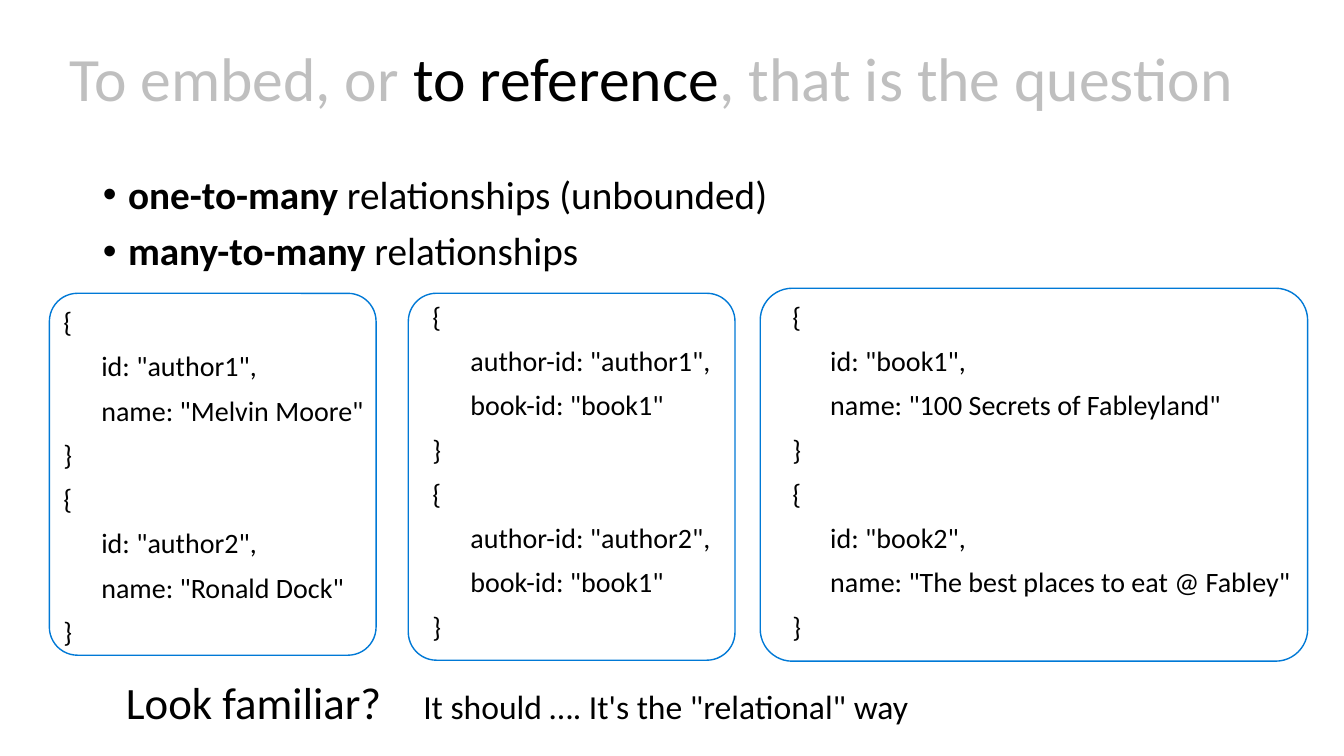
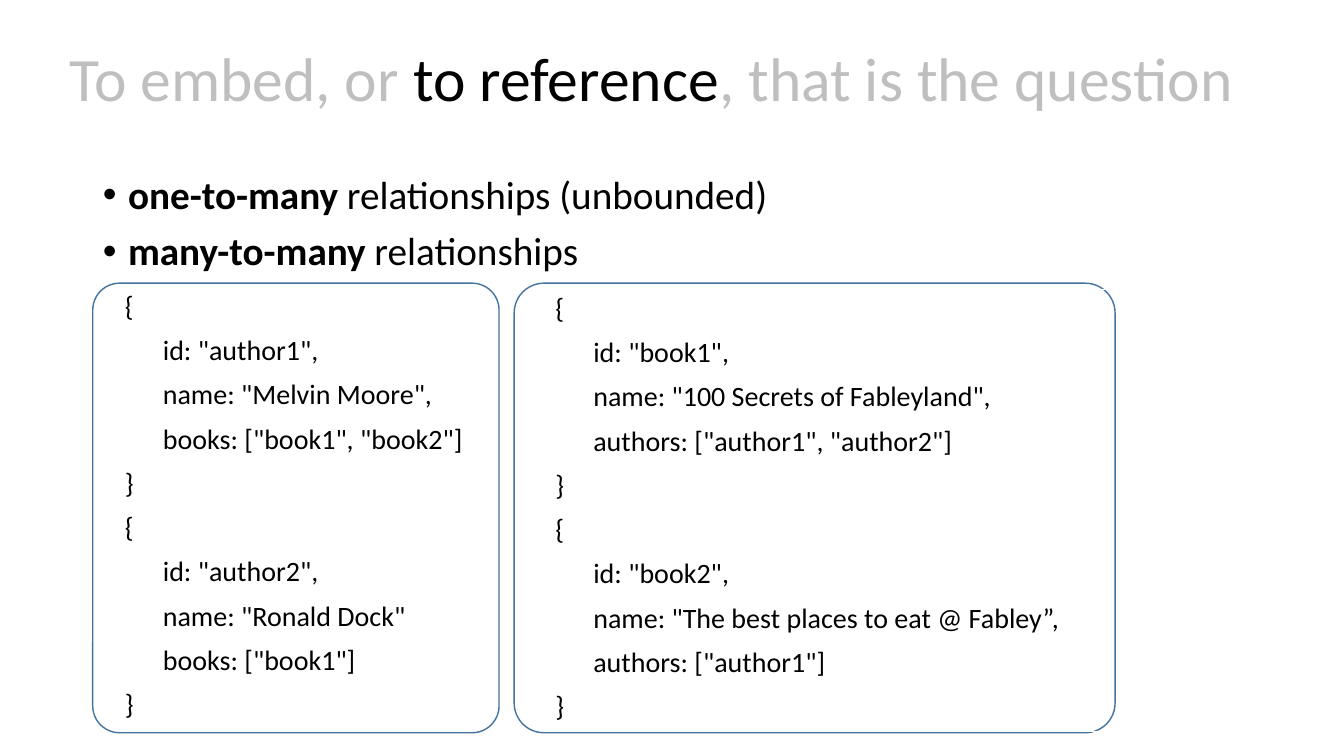
from pptx import Presentation
from pptx import util as u
from pptx.dml.color import RGBColor
from pptx.enum import shapes, text

BLACK = RGBColor(0x00, 0x00, 0x00)
WHITE = RGBColor(0xFF, 0xFF, 0xFF)
MUTED = RGBColor(0xBF, 0xBF, 0xBF)
BLUE = RGBColor(0x00, 0x79, 0xD6)
STEEL = RGBColor(0x43, 0x73, 0x9E)
FONT = "Calibri"

TITLE = [[("To embed, or ", MUTED, False), ("to reference", BLACK, False),
          (", that is the question", MUTED, False)]]
RELATIONSHIPS = [
    [("one-to-many", BLACK, True), (" relationships (unbounded)", BLACK, False)],
    [("many-to-many", BLACK, True), (" relationships", BLACK, False)],
]


def write(frame, lines, size, spacing=None, before=0, indent=None,
          anchor=text.MSO_ANCHOR.TOP, fit=text.MSO_AUTO_SIZE.NONE):
    """Fill a frame; a line is a string or a list of (text, colour, bold)."""
    frame.word_wrap = True
    frame.auto_size = fit
    frame.vertical_anchor = anchor
    for index, line in enumerate(lines):
        para = frame.add_paragraph() if index else frame.paragraphs[0]
        para.alignment = text.PP_ALIGN.LEFT
        para.line_spacing = spacing
        para.space_before = u.Pt(before if index else 0)
        if indent:
            properties = para._p.get_or_add_pPr()
            properties.set("marL", str(u.Inches(indent)))
            properties.set("indent", str(-u.Inches(indent)))
        spans = [(line, BLACK, False)] if isinstance(line, str) else line
        for words, colour, bold in spans:
            span = para.add_run()
            span.text = words
            span.font.name = FONT
            span.font.size = u.Pt(size)
            span.font.bold = bold
            span.font.color.rgb = colour


def records(*groups):
    """Lay out each group of fields as a braced document."""
    lines = []
    for fields in groups:
        lines += ["{", *(" " * 6 + field for field in fields), "}"]
    return lines


class Slides:
    """Holds the deck, its style and the current page."""

    def __init__(self):
        self.deck = Presentation()
        self.deck.slide_width = u.Inches(13.33)
        self.deck.slide_height = u.Inches(7.5)
        self.page = None

    def place(self, box, at):
        box.left, box.top, box.width, box.height = map(u.Inches, at)

    def new_page(self):
        """Start a page with the shared title and list."""
        self.page = self.deck.slides.add_slide(self.deck.slide_layouts[1])
        title, body = self.page.placeholders
        self.place(title, (0.59, 0.32, 12.75, 0.98))
        write(title.text_frame, TITLE, 44, spacing=0.9,
              anchor=text.MSO_ANCHOR.MIDDLE)
        self.place(body, (0.92, 1.69, 11.5, 4.76))
        write(body.text_frame, RELATIONSHIPS, 28, spacing=0.9, before=10,
              indent=0.25)

    def label(self, at, words, size):
        box = self.page.shapes.add_textbox(*map(u.Inches, at))
        write(box.text_frame, [words], size,
              fit=text.MSO_AUTO_SIZE.SHAPE_TO_FIT_TEXT)

    def code_card(self, at, code_at, lines, colour, corner, edge=None):
        """Group a rounded outline with the code on top of it."""
        group = self.page.shapes.add_group_shape().shapes
        card = group.add_shape(shapes.MSO_SHAPE.ROUNDED_RECTANGLE,
                               *map(u.Inches, at))
        card.adjustments[0] = corner
        card.shadow.inherit = False
        card.fill.solid()
        card.fill.fore_color.rgb = WHITE
        card.line.color.rgb = colour
        card.line.width = u.Pt(1)
        box = group.add_textbox(*map(u.Inches, code_at))
        if edge:
            box.line.color.rgb = edge
            box.line.width = u.Pt(0.75)
        write(box.text_frame, lines, 20, spacing=0.9, before=10,
              fit=text.MSO_AUTO_SIZE.SHAPE_TO_FIT_TEXT)


def relational_page(slides):
    slides.new_page()
    style = {"colour": BLUE, "corner": 0.086}
    # Books, the linking documents, and authors
    slides.code_card((7.54, 2.86, 5.43, 3.7), (7.76, 2.96, 5.5, 3.7), records(
        ['id: "book1",', 'name: "100 Secrets of Fableyland"'],
        ['id: "book2",', 'name: "The best places to eat @ Fabley"']), **style)
    slides.code_card((4.05, 2.91, 3.24, 3.64), (4.19, 2.96, 3.72, 3.7), records(
        ['author-id: "author1",', 'book-id: "book1"'],
        ['author-id: "author2",', 'book-id: "book1"']), **style)
    slides.code_card((0.49, 2.91, 3.24, 3.59), (0.53, 3.01, 3.72, 3.7), records(
        ['id: "author1",', 'name: "Melvin Moore"'],
        ['id: "author2",', 'name: "Ronald Dock"']), **style)
    # Closing remark
    slides.label((1.15, 6.64, 2.88, 0.64), "Look familiar?", 32)
    slides.label((4.1, 6.76, 6.07, 0.5),
                 'It should …. It\'s the "relational" way', 24)


def reference_list_page(slides):
    slides.new_page()
    style = {"colour": STEEL, "corner": 0.066, "edge": WHITE}
    # Books list their authors, authors list their books
    slides.code_card((5.1, 2.81, 5.96, 4.46), (5.41, 2.87, 5.83, 4.39), records(
        ['id: "book1",', 'name: "100 Secrets of Fableyland",',
         'authors: ["author1", "author2"]'],
        ['id: "book2",', 'name: "The best places to eat @ Fabley”,',
         'authors: ["author1"]']), **style)
    slides.code_card((0.92, 2.81, 4.03, 4.46), (1.14, 2.85, 3.58, 4.39), records(
        ['id: "author1",', 'name: "Melvin Moore",',
         'books: ["book1", "book2"]'],
        ['id: "author2",', 'name: "Ronald Dock"',
         'books: ["book1"]']), **style)


def main():
    slides = Slides()
    relational_page(slides)
    reference_list_page(slides)
    slides.deck.save("out.pptx")


if __name__ == "__main__":
    main()
